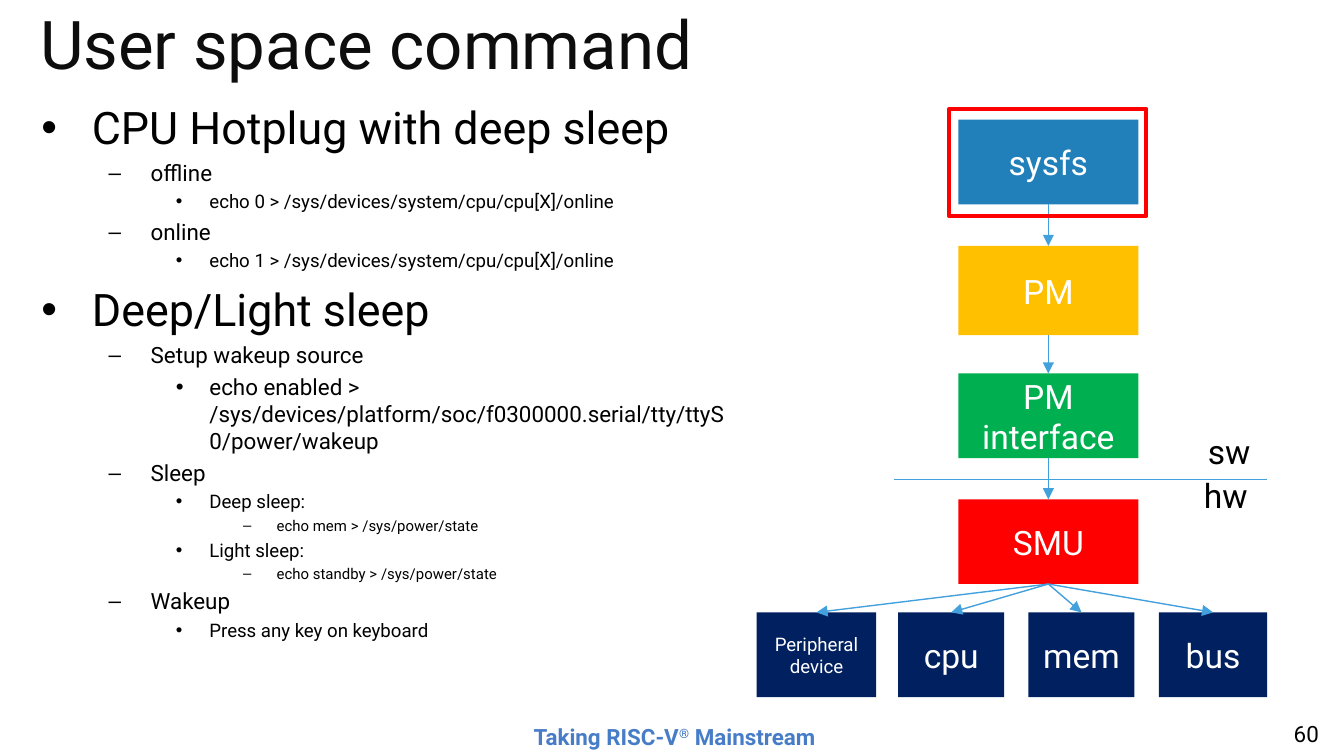
from lxml.etree import SubElement
from pptx import Presentation
from pptx.dml.color import RGBColor
from pptx.enum.shapes import MSO_CONNECTOR as Connector, MSO_SHAPE as Shape
from pptx.enum.text import MSO_ANCHOR as Anchor, PP_ALIGN as Align
from pptx.oxml.ns import qn
from pptx.util import Pt

FONT = "Roboto"
BLUE, NAVY, RED = "42A0DD", "002060", "FF0000"
TOP, BOTTOM = 0, 2  # connection sites of a rectangle

# Bullet, left margin and hanging indent of each outline level
LEVELS = [("•", 27, 27), ("–", 58.5, 22.5), ("•", 90, 18), ("–", 126, 18)]
OUTLINE = [
    (0, 24, "CPU Hotplug with deep sleep"),
    (1, 12, "offline"),
    (2, 10, "echo 0 > /sys/devices/system/cpu/cpu[X]/online"),
    (1, 12, "online"),
    (2, 10, "echo 1 > /sys/devices/system/cpu/cpu[X]/online"),
    (0, 24, "Deep/Light sleep"),
    (1, 12, "Setup wakeup source"),
    (2, 12, "echo enabled > /sys/devices/platform/soc/"
            "f0300000.serial/tty/ttyS0/power/wakeup"),
    (1, 12, "Sleep"),
    (2, 10, "Deep sleep:"),
    (3, 8, "echo mem > /sys/power/state"),
    (2, 10, "Light sleep:"),
    (3, 8, "echo standby > /sys/power/state"),
    (1, 12, "Wakeup"),
    (2, 10, "Press any key on keyboard"),
]

# Software stack: text, top, height, fill
STACK = [
    ("sysfs", 5.8, 45.4, "217FBA"),
    ("PM", 73.5, 47.8, "FFC000"),
    ("PM\ninterface", 141.8, 45.4, "00B050"),
    ("SMU", 209.2, 45.4, RED),
]
# Managed hardware: text, left, width, text size
DEVICES = [
    ("Peripheral device", 0, 64, 10),
    ("cpu", 75.8, 56.8, 18),
    ("mem", 145.6, 56.8, 18),
    ("bus", 215.5, 58, 18),
]


def color(value):
    return RGBColor.from_string(value)


def style(font, size, value, bold=False):
    font.name, font.size, font.bold = FONT, Pt(size), bold
    font.color.rgb = color(value)


def fill_text(frame, text, size, value, align=Align.LEFT, bold=False):
    frame.word_wrap = True
    frame.text = text
    for para in frame.paragraphs:
        para.alignment = align
        for span in para.runs:
            style(span.font, size, value, bold)


def add_text(page, box, text, size, value="000000", align=Align.LEFT,
             anchor=Anchor.TOP, bold=False):
    frame = page.shapes.add_textbox(*map(Pt, box)).text_frame
    frame.vertical_anchor = anchor
    fill_text(frame, text, size, value, align, bold)
    return frame


def add_block(page, box, text, fill, size=18):
    block = page.shapes.add_shape(Shape.RECTANGLE, *map(Pt, box))
    block.shadow.inherit = False
    block.fill.solid()
    block.fill.fore_color.rgb = color(fill)
    block.line.fill.background()
    block.text_frame.vertical_anchor = Anchor.MIDDLE
    fill_text(block.text_frame, text, size, "FFFFFF", Align.CENTER)
    return block


def add_line(page, *ends):
    line = page.shapes.add_connector(Connector.STRAIGHT, *map(Pt, ends))
    line.line.width = Pt(0.75)
    line.line.color.rgb = color(BLUE)
    SubElement(line._element.spPr, qn("a:effectLst"))
    return line


def add_arrow(page, source, target):
    arrow = add_line(page, 0, 0, 0, 0)
    arrow.begin_connect(source, BOTTOM)
    arrow.end_connect(target, TOP)
    SubElement(arrow.line._get_or_add_ln(), qn("a:tailEnd"), type="triangle")


def add_outline(page, box):
    frame = page.shapes.add_textbox(*map(Pt, box)).text_frame
    frame.word_wrap = True
    for index, (level, size, text) in enumerate(OUTLINE):
        para = frame.add_paragraph() if index else frame.paragraphs[0]
        para.text = text
        para.level = level
        if index:
            para.space_before = Pt(round(size * 0.234, 2))
        mark, margin, hanging = LEVELS[level]
        props = para._p.get_or_add_pPr()
        props.set("marL", str(Pt(margin)))
        props.set("indent", str(-Pt(hanging)))
        SubElement(props, qn("a:buFont"), typeface="Arial")
        SubElement(props, qn("a:buChar"), char=mark)
        style(para.runs[0].font, size, "000000")


def add_diagram(page, box):
    left, top, width, height = box

    # Blocks
    stack = [add_block(page, (left + 108, top + y, 96.5, tall), text, fill)
             for text, y, tall, fill in STACK]
    row = top + height - 45.4
    devices = [add_block(page, (left + x, row, wide, 45.4), text, NAVY, size)
               for text, x, wide, size in DEVICES]

    # Border between software and hardware
    border = top + 198.7
    add_line(page, left + 73.4, border, left + width, border)
    add_text(page, (left + 234.6, border - 29.5, 45.4, 29), "sw", 18)
    add_text(page, (left + 232.5, border - 6, 45.4, 29), "hw", 18)

    # Arrows down the stack, then out to each device
    for source, target in zip(stack, stack[1:]):
        add_arrow(page, source, target)
    for device in devices:
        add_arrow(page, stack[-1], device)

    # Highlight around sysfs
    frame = page.shapes.add_shape(
        Shape.RECTANGLE, Pt(left + 103), Pt(top), Pt(105.8), Pt(57.6))
    frame.shadow.inherit = False
    frame.fill.background()
    frame.line.color.rgb = color(RED)
    frame.line.width = Pt(2)


def add_footer(page, box):
    left, top, width, height = box
    slogan = add_text(page, (left + 264.2, top + 2, 194.4, height - 2),
                      "Taking RISC-V", 12, "477DC7", Align.CENTER,
                      Anchor.MIDDLE, bold=True)
    slogan.margin_top = slogan.margin_bottom = Pt(3)
    para = slogan.paragraphs[0]
    for text in ("®", " Mainstream"):
        span = para.add_run()
        span.text = text
        style(span.font, 12, "477DC7", bold=True)
    para.runs[1].font._element.set("baseline", "30000")

    number = add_text(page, (left + width - 40.3, top, 40.3, height),
                      "60", 12, align=Align.CENTER)
    number.margin_left = number.margin_right = Pt(5)


def main():
    deck = Presentation()
    deck.slide_width, deck.slide_height = Pt(720), Pt(405)
    page = deck.slides.add_slide(deck.slide_layouts[6])
    add_footer(page, (0, 382.5, 720, 22))
    add_text(page, (14.4, 0, 584, 45.4), "User space command", 36, "0D0D0D",
             anchor=Anchor.MIDDLE)
    add_outline(page, (15.1, 50, 382.3, 333))
    add_diagram(page, (405.4, 58.3, 273.6, 315.2))
    deck.save("out.pptx")


if __name__ == "__main__":
    main()
